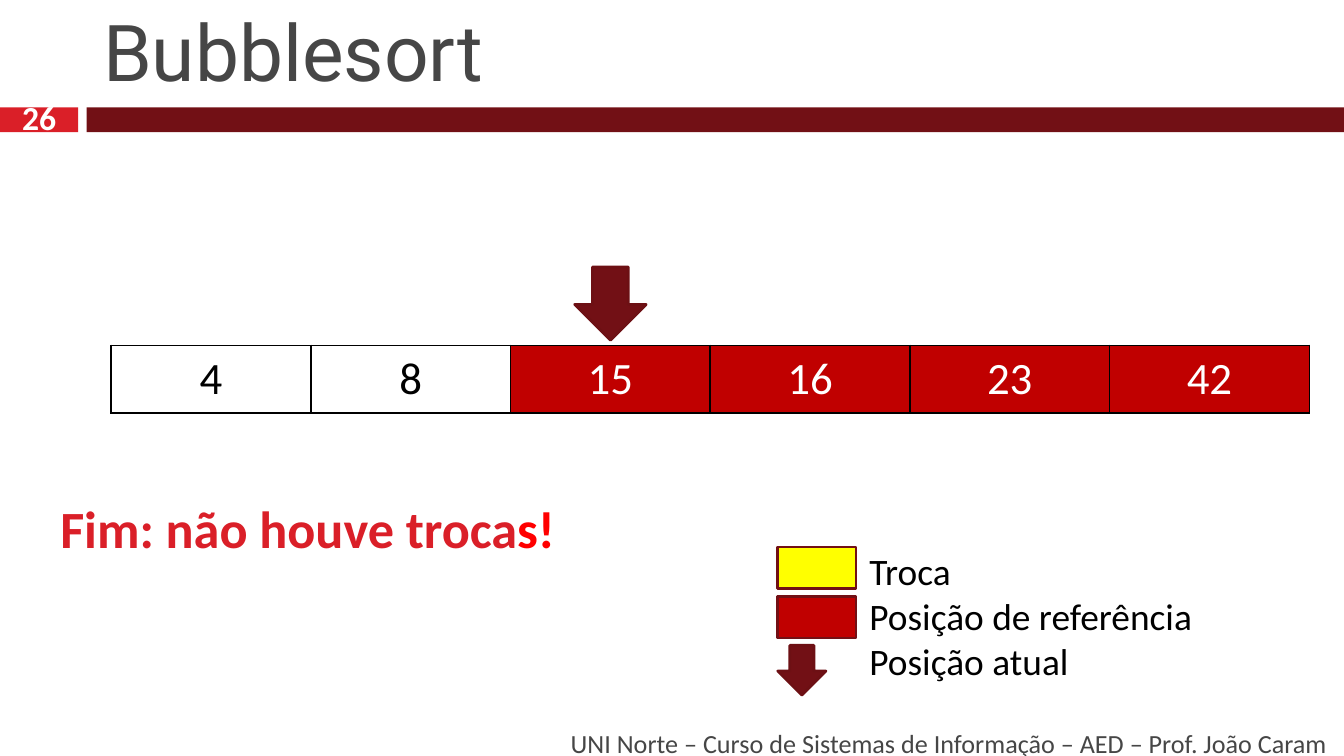
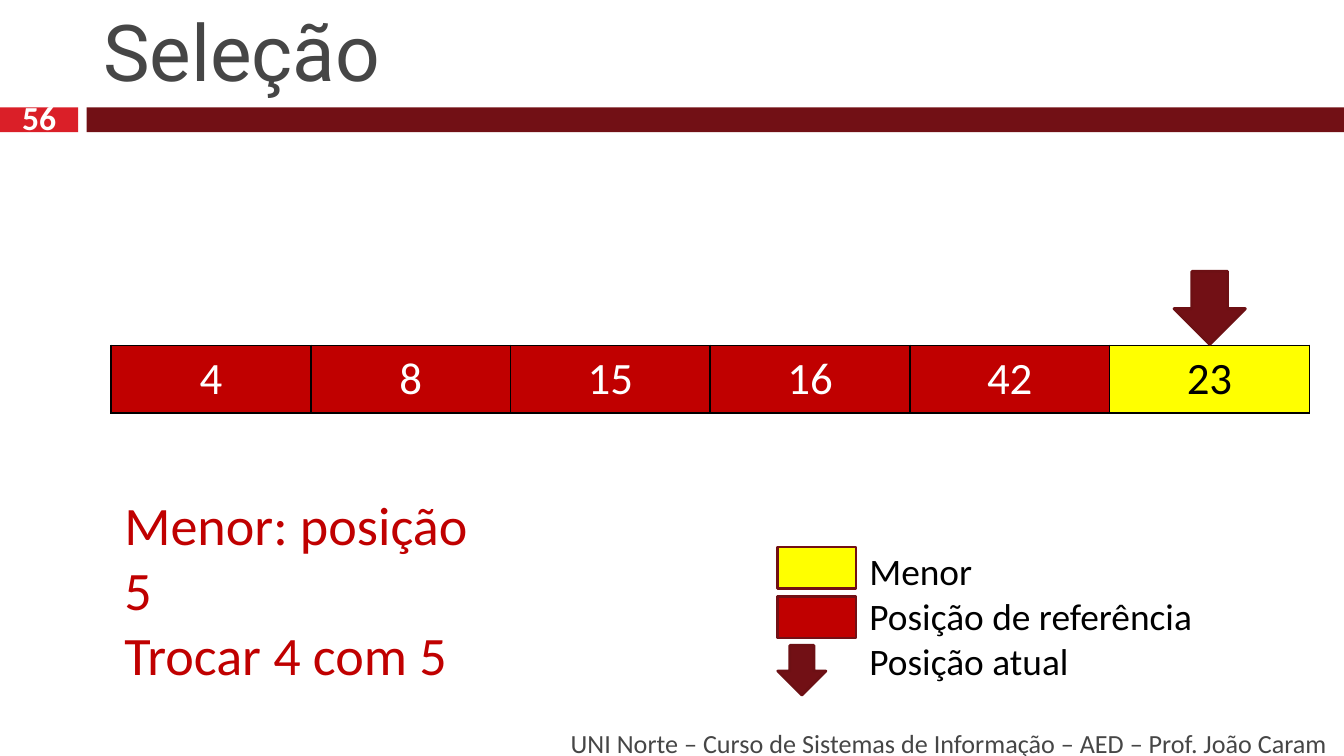
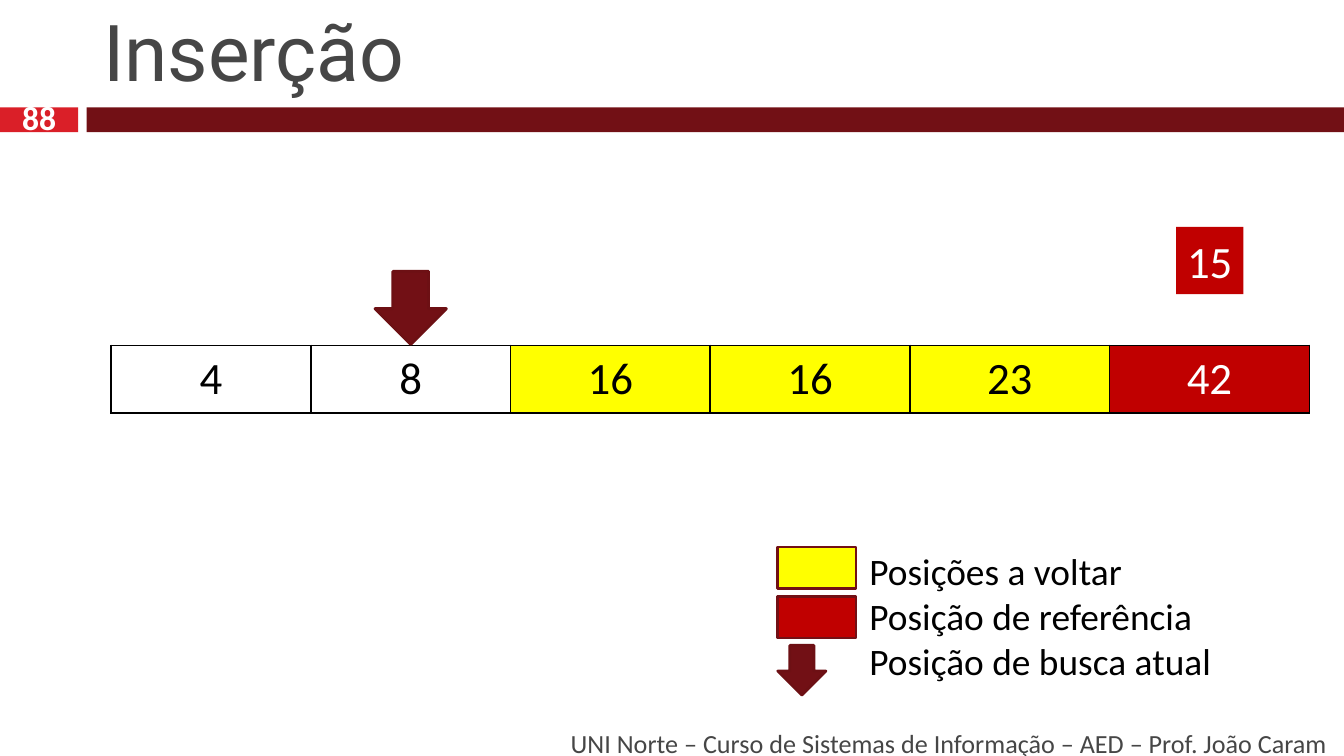
from dataclasses import dataclass, field
from typing import NamedTuple

from lxml import etree
from pptx import Presentation
from pptx import util as u
from pptx.dml import color as c
from pptx.enum import shapes, text
from pptx.oxml import ns

RECTANGLE = shapes.MSO_SHAPE.RECTANGLE
DOWN_ARROW = shapes.MSO_SHAPE.DOWN_ARROW
ALIGN = text.PP_ALIGN
ANCHOR = text.MSO_ANCHOR


@dataclass(frozen=True)
class Theme:
    white: str = "FFFFFF"
    black: str = "000000"
    gray: str = "464646"
    crimson: str = "DA1F28"
    bright_red: str = "FF0000"
    red: str = "C00000"
    yellow: str = "FFFF00"
    maroon: str = "721015"
    arrow_edge: str = "6D1014"
    heading_font: str = "Roboto"
    body_font: str = "Calibri"
    title_size: float = 42
    result_size: float = 29
    ending_size: float = 28
    cell_size: float = 24
    legend_size: float = 20
    number_size: float = 18
    footer_size: float = 14
    outline: float = 1.5
    border: float = 1


THEME = Theme()


class Frame(NamedTuple):
    left: float
    top: float
    width: float
    height: float

    def lengths(self) -> tuple[u.Cm, ...]:
        return tuple(u.Cm(value) for value in self)


class Span(NamedTuple):
    words: str
    size: float
    color: str
    bold: bool = False
    font: str = THEME.body_font


class Paint(NamedTuple):
    fill: str
    ink: str


class Cell(NamedTuple):
    value: str
    paint: Paint


class Note(NamedTuple):
    frame: Frame
    paragraphs: list[list[Span]]


PLAIN = Paint(THEME.white, THEME.black)
REFERENCE = Paint(THEME.red, THEME.white)
MARKED = Paint(THEME.yellow, THEME.black)

NUMBER_BAND = Frame(0, 2.03, 1.48, 0.47)
TITLE_BAND = Frame(1.64, 2.03, 23.76, 0.47)
NUMBER = Frame(0, 1.96, 1.48, 0.5)
TITLE = Frame(1.7, 0.33, 23.42, 1.63)
FOOTER = Frame(2.69, 13.67, 22.65, 0.76)
ARRAY = Frame(2.1, 6.53, 22.65, 1.28)
LEGEND_KEY = Frame(14.7, 10.34, 1.48, 0.79)
LEGEND_PITCH = 0.93
LEGEND_TEXT = Frame(16.18, 10.24, 8.86, 2.82)
FOOTER_WORDS = "UNI Norte – Curso de Sistemas de Informação – AED – Prof. João Caram"


@dataclass(frozen=True)
class SortStep:
    title: str
    number: int
    cells: list[Cell]
    current: int
    legend: list[str]
    arrow_top: float = 5.13
    notes: list[Note] = field(default_factory=list)
    held: str = ""


STEPS = [
    SortStep(
        "Bubblesort", 26,
        [Cell(value, PLAIN) for value in ("4", "8")]
        + [Cell(value, REFERENCE) for value in ("15", "16", "23", "42")],
        2,
        ["Troca", "Posição de referência", "Posição atual"],
        arrow_top=5.05,
        notes=[Note(Frame(0.89, 9.25, 10.24, 1.45), [[
            Span("Fim: não houve troca", THEME.ending_size, THEME.crimson, True),
            Span("s!", THEME.ending_size, THEME.bright_red, True),
        ]])],
    ),
    SortStep(
        "Seleção", 56,
        [Cell(value, REFERENCE) for value in ("4", "8", "15", "16", "42")]
        + [Cell("23", MARKED)],
        5,
        ["Menor", "Posição de referência", "Posição atual"],
        notes=[Note(Frame(2.1, 9.17, 7.65, 2.74), [
            [Span(words, THEME.result_size, THEME.red)]
            for words in ("Menor: posição 5", "Trocar 4 com 5")
        ])],
    ),
    SortStep(
        "Inserção", 88,
        [Cell(value, PLAIN) for value in ("4", "8")]
        + [Cell(value, MARKED) for value in ("16", "16", "23")]
        + [Cell("42", REFERENCE)],
        1,
        ["Posições a voltar", "Posição de referência", "Posição de busca atual"],
        held="15",
    ),
]


def rgb(value: str) -> c.RGBColor:
    return c.RGBColor.from_string(value)


def write(frame, paragraphs: list[list[Span]], align=ALIGN.LEFT, anchor=ANCHOR.TOP,
          wrap: bool = True) -> None:
    frame.word_wrap = wrap
    frame.vertical_anchor = anchor
    for index, spans in enumerate(paragraphs):
        para = frame.add_paragraph() if index else frame.paragraphs[0]
        para.alignment = align
        for span in spans:
            run = para.add_run()
            run.text = span.words
            run.font.size = u.Pt(span.size)
            run.font.name = span.font
            run.font.bold = span.bold
            run.font.color.rgb = rgb(span.color)


def add_text(parent, frame: Frame, paragraphs: list[list[Span]], **layout) -> None:
    box = parent.shapes.add_textbox(*frame.lengths())
    write(box.text_frame, paragraphs, **layout)


def add_block(parent, preset, frame: Frame, fill: str, edge: str = ""):
    block = parent.shapes.add_shape(preset, *frame.lengths())
    block.shadow.inherit = False
    block.fill.solid()
    block.fill.fore_color.rgb = rgb(fill)
    if edge:
        block.line.color.rgb = rgb(edge)
        block.line.width = u.Pt(THEME.outline)
    else:
        block.line.fill.background()
    return block


def add_arrow(parent, frame: Frame) -> None:
    add_block(parent, DOWN_ARROW, frame, THEME.maroon, THEME.arrow_edge)


def add_borders(cell) -> None:
    properties = cell._tc.get_or_add_tcPr()
    for position, side in enumerate(("lnL", "lnR", "lnT", "lnB")):
        line = etree.Element(ns.qn(f"a:{side}"), w=str(u.Pt(THEME.border)))
        fill = etree.SubElement(line, ns.qn("a:solidFill"))
        etree.SubElement(fill, ns.qn("a:srgbClr"), val=THEME.black)
        properties.insert(position, line)


def add_array(page, cells: list[Cell]) -> None:
    table = page.shapes.add_table(1, len(cells), *ARRAY.lengths()).table
    table.first_row = False
    table.horz_banding = False
    for cell, item in zip(table.rows[0].cells, cells):
        cell.fill.solid()
        cell.fill.fore_color.rgb = rgb(item.paint.fill)
        add_borders(cell)
        span = Span(item.value, THEME.cell_size, item.paint.ink)
        write(cell.text_frame, [[span]], align=ALIGN.CENTER)


def over_cell(step: SortStep, index: int, top: float, width: float, height: float) -> Frame:
    center = ARRAY.left + ARRAY.width / len(step.cells) * (index + 0.5)
    return Frame(center - width / 2, top, width, height)


def add_legend(page, labels: list[str]) -> None:
    group = page.shapes.add_group_shape()
    arrow_top = LEGEND_KEY.top + 2 * LEGEND_PITCH
    add_arrow(group, Frame(LEGEND_KEY.left, arrow_top, 0.91, 0.94))
    for row, paint in enumerate((MARKED, REFERENCE)):
        key = LEGEND_KEY._replace(top=LEGEND_KEY.top + row * LEGEND_PITCH)
        add_block(group, RECTANGLE, key, paint.fill, THEME.maroon)
    add_text(group, LEGEND_TEXT,
             [[Span(label, THEME.legend_size, THEME.black)] for label in labels])


def add_common(page, step: SortStep) -> None:
    add_block(page, RECTANGLE, NUMBER_BAND, THEME.crimson)
    add_block(page, RECTANGLE, TITLE_BAND, THEME.maroon)
    title = Span(step.title, THEME.title_size, THEME.gray, font=THEME.heading_font)
    add_text(page, TITLE, [[title]], anchor=ANCHOR.BOTTOM)
    footer = Span(FOOTER_WORDS, THEME.footer_size, THEME.gray)
    add_text(page, FOOTER, [[footer]], align=ALIGN.RIGHT, anchor=ANCHOR.MIDDLE)
    number = Span(str(step.number), THEME.number_size, THEME.white, True)
    add_text(page, NUMBER, [[number]], align=ALIGN.CENTER, anchor=ANCHOR.MIDDLE)


def add_step(deck, step: SortStep) -> None:
    page = deck.slides.add_slide(deck.slide_layouts[6])
    add_common(page, step)
    add_array(page, step.cells)
    add_arrow(page, over_cell(step, step.current, step.arrow_top, 1.35, 1.38))
    for note in step.notes:
        add_text(page, note.frame, note.paragraphs)
    add_legend(page, step.legend)
    if step.held:
        frame = over_cell(step, len(step.cells) - 1, 4.29, 1.27, 1.27)
        block = add_block(page, RECTANGLE, frame, REFERENCE.fill)
        span = Span(step.held, THEME.cell_size, REFERENCE.ink)
        write(block.text_frame, [[span]], align=ALIGN.CENTER, anchor=ANCHOR.MIDDLE, wrap=False)


def main() -> None:
    deck = Presentation()
    deck.slide_width = u.Cm(25.4)
    deck.slide_height = u.Cm(14.29)
    for step in STEPS:
        add_step(deck, step)
    deck.save("out.pptx")


if __name__ == "__main__":
    main()
